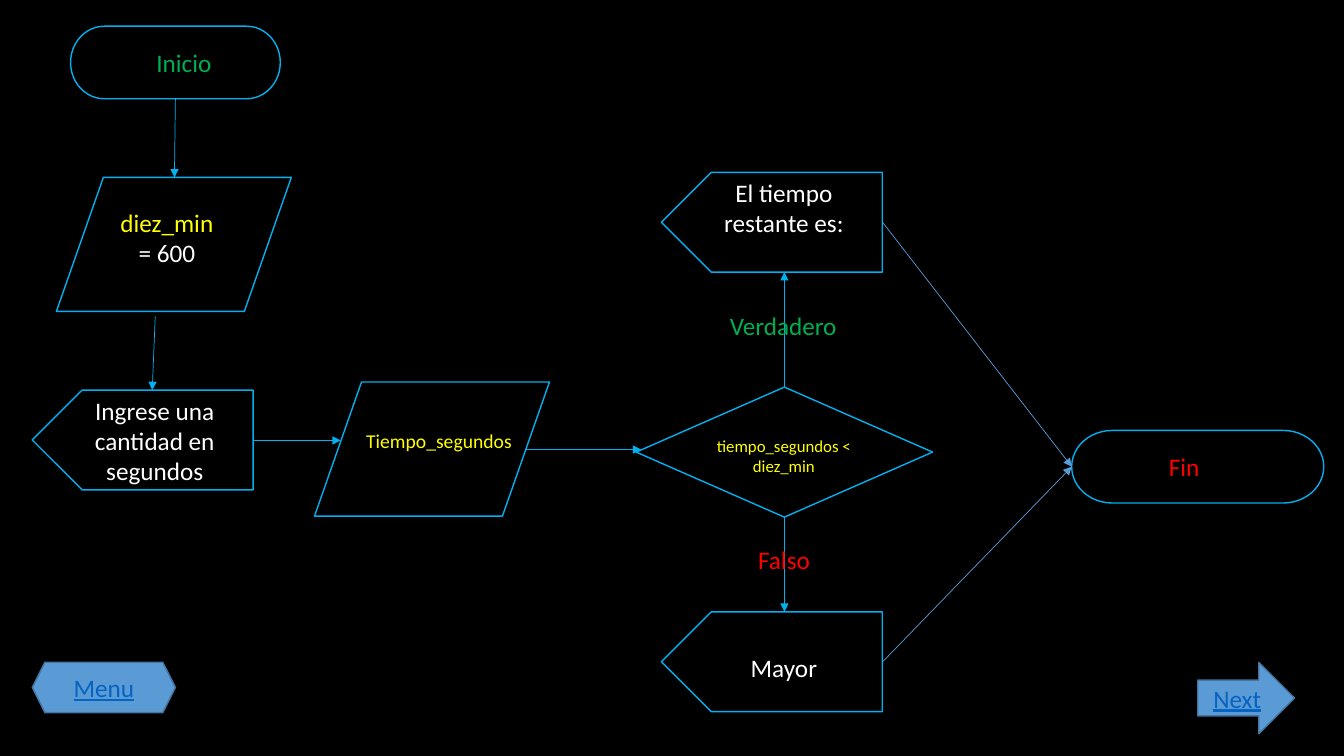
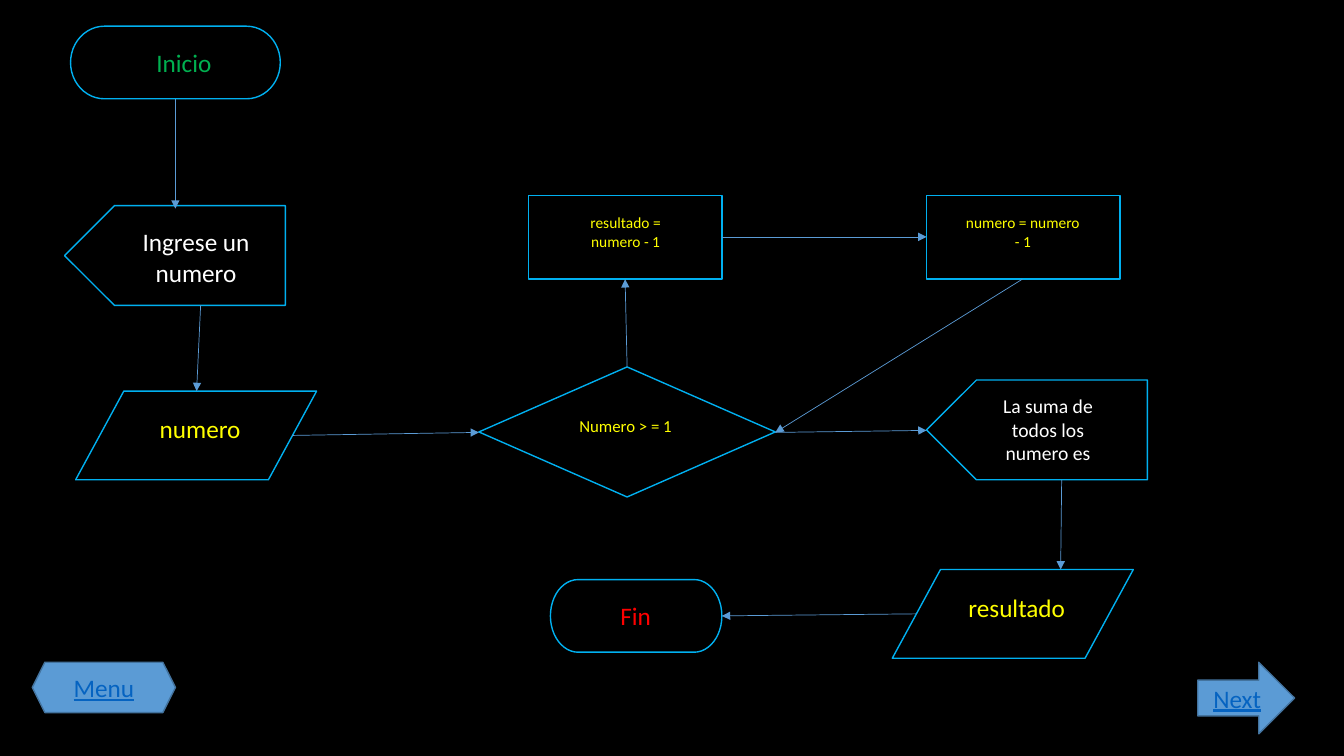
from dataclasses import dataclass

from lxml.etree import SubElement
from pptx import Presentation
from pptx.dml.color import RGBColor
from pptx.enum.shapes import MSO_CONNECTOR, MSO_SHAPE as Preset
from pptx.enum.text import MSO_ANCHOR, MSO_AUTO_SIZE, PP_ALIGN
from pptx.oxml.ns import qn
from pptx.shapes.base import BaseShape
from pptx.slide import Slide
from pptx.text.text import TextFrame
from pptx.util import Emu, Pt

EMU_PER_PX = 9144
SLIDE_SIZE = (1333, 750)
FONT = "Calibri"
COLORS = {
    "background": "000000",
    "outline": "00B0F0",
    "button": "5B9BD5",
    "button_edge": "43739E",
    "link": "0563C1",
    "start": "00B050",
    "end": "FF0000",
    "variable": "FFFF00",
    "message": "FFFFFF",
}

TERMINAL = Preset.FLOWCHART_TERMINATOR
DATA = Preset.FLOWCHART_DATA
OUTPUT = Preset.PENTAGON
DECISION = Preset.FLOWCHART_DECISION
PROCESS = Preset.RECTANGLE

OUTPUT_SIZE = (219, 99)
DECISION_SIZE = (294, 129)
PROCESS_SIZE = (192, 83)
START_SIZE = (208, 72)
LARGE_DATA_SIZE = (233, 133)
SMALL_DATA_SIZE = (239, 88)


@dataclass(frozen=True)
class Step:
    preset: Preset
    place: tuple[int, int]
    size: tuple[int, int]


@dataclass(frozen=True)
class Caption:
    text: str
    place: tuple[int, int]
    size: tuple[int, int]
    colors: tuple[str, ...]
    points: int = 18
    wrap: bool = True


@dataclass(frozen=True)
class Arrow:
    start: tuple[int, int]
    end: tuple[int, int]
    color: str = "button"


@dataclass(frozen=True)
class Button:
    preset: Preset
    text: str
    place: tuple[int, int]
    size: tuple[int, int]


@dataclass(frozen=True)
class Flowchart:
    steps: tuple[Step, ...]
    captions: tuple[Caption, ...]
    arrows: tuple[Arrow, ...]


START_STEP = Step(TERMINAL, (70, 26), START_SIZE)
START_CAPTION = Caption("Inicio", (104, 42), (157, 40), ("start",))

BUTTONS = (
    Button(Preset.RIGHT_ARROW, "Next", (1188, 657), (96, 71)),
    Button(Preset.HEXAGON, "Menu", (32, 657), (142, 50)),
)

TIME_LEFT = Flowchart(
    steps=(
        Step(TERMINAL, (1063, 427), (250, 72)),
        Step(DATA, (56, 176), LARGE_DATA_SIZE),
        Step(OUTPUT, (32, 387), OUTPUT_SIZE),
        Step(DATA, (312, 379), LARGE_DATA_SIZE),
        Step(DECISION, (631, 384), DECISION_SIZE),
        Step(OUTPUT, (656, 171), OUTPUT_SIZE),
        Step(OUTPUT, (656, 607), OUTPUT_SIZE),
    ),
    captions=(
        Caption("Fin", (1096, 443), (157, 40), ("end",)),
        Caption("diez_min\n= 600", (87, 201), (157, 71), ("variable", "message")),
        Caption("Ingrese una cantidad en segundos", (75, 387), (157, 101), ("message",)),
        Caption("Tiempo_segundos", (352, 421), (167, 34), ("variable",), 14),
        Caption("tiempo_segundos < diez_min", (699, 427), (157, 50), ("variable",), 12),
        Caption("El tiempo restante es:", (699, 171), (157, 71), ("message",)),
        Caption("Mayor", (699, 642), (157, 40), ("message",)),
        Caption("Verdadero", (714, 303), (127, 40), ("start",), wrap=False),
        Caption("Falso", (742, 535), (72, 40), ("end",), wrap=False),
    ),
    arrows=(
        Arrow((174, 98), (173, 176), "outline"),
        Arrow((154, 314), (151, 387), "outline"),
        Arrow((251, 437), (338, 437), "outline"),
        Arrow((521, 446), (636, 446), "outline"),
        Arrow((778, 513), (778, 607), "outline"),
        Arrow((778, 384), (778, 270), "outline"),
        Arrow((875, 220), (1063, 463)),
        Arrow((875, 657), (1063, 463)),
    ),
)

SUM_OF_NUMBERS = Flowchart(
    steps=(
        Step(TERMINAL, (546, 575), (170, 72)),
        Step(DATA, (75, 388), SMALL_DATA_SIZE),
        Step(OUTPUT, (64, 204), OUTPUT_SIZE),
        Step(DECISION, (475, 364), DECISION_SIZE),
        Step(OUTPUT, (919, 377), OUTPUT_SIZE),
        Step(PROCESS, (524, 194), PROCESS_SIZE),
        Step(PROCESS, (919, 194), PROCESS_SIZE),
        Step(DATA, (885, 565), SMALL_DATA_SIZE),
    ),
    captions=(
        Caption("Fin", (580, 591), (101, 40), ("end",)),
        Caption("numero", (120, 405), (157, 40), ("variable",)),
        Caption("Ingrese un numero", (116, 220), (157, 71), ("message",)),
        Caption("Numero > = 1", (542, 408), (157, 30), ("variable",), 12),
        Caption("La suma de todos los numero es", (961, 386), (157, 81), ("message",), 14),
        Caption("resultado = numero - 1", (551, 207), (139, 47), ("variable",), 11),
        Caption("numero = numero - 1", (945, 207), (139, 47), ("variable",), 11),
        Caption("resultado", (930, 583), (157, 40), ("variable",)),
    ),
    arrows=(
        Arrow((174, 98), (174, 207)),
        Arrow((199, 303), (195, 388)),
        Arrow((290, 432), (475, 429)),
        Arrow((622, 364), (620, 277)),
        Arrow((716, 235), (919, 235)),
        Arrow((1014, 277), (769, 429)),
        Arrow((769, 429), (919, 427)),
        Arrow((1053, 476), (1052, 565)),
        Arrow((909, 609), (716, 611)),
    ),
)


def px(*lengths: int) -> list[Emu]:
    return [Emu(length * EMU_PER_PX) for length in lengths]


def rgb(name: str) -> RGBColor:
    return RGBColor.from_string(COLORS[name])


def write(
    frame: TextFrame,
    text: str,
    *,
    colors: tuple[str, ...],
    points: int = 18,
    align: PP_ALIGN = PP_ALIGN.CENTER,
    underline: bool = False,
) -> None:
    for index, (line, color) in enumerate(zip(text.split("\n"), colors)):
        paragraph = frame.add_paragraph() if index else frame.paragraphs[0]
        paragraph.alignment = align
        run = paragraph.add_run()
        run.text = line
        run.font.name = FONT
        run.font.size = Pt(points)
        run.font.underline = underline
        run.font.color.rgb = rgb(color)


def outline(shape: BaseShape, color: str) -> None:
    shape.shadow.inherit = False
    shape.line.color.rgb = rgb(color)
    shape.line.width = Pt(1)


def draw_step(slide: Slide, step: Step) -> None:
    shape = slide.shapes.add_shape(step.preset, *px(*step.place, *step.size))
    outline(shape, "outline")
    shape.fill.background()
    if step.preset == OUTPUT:
        shape.rotation = 180


def draw_caption(slide: Slide, caption: Caption) -> None:
    frame = slide.shapes.add_textbox(*px(*caption.place, *caption.size)).text_frame
    frame.word_wrap = caption.wrap
    frame.auto_size = MSO_AUTO_SIZE.SHAPE_TO_FIT_TEXT
    align = PP_ALIGN.CENTER if caption.wrap else PP_ALIGN.LEFT
    write(frame, caption.text, colors=caption.colors, points=caption.points, align=align)


def draw_arrow(slide: Slide, arrow: Arrow) -> None:
    connector = slide.shapes.add_connector(
        MSO_CONNECTOR.STRAIGHT, *px(*arrow.start, *arrow.end)
    )
    connector.line.color.rgb = rgb(arrow.color)
    connector.line.width = Pt(0.5)
    SubElement(connector.line._get_or_add_ln(), qn("a:tailEnd"), type="triangle")
    SubElement(connector._element.spPr, qn("a:effectLst"))


def draw_button(slide: Slide, button: Button) -> None:
    shape = slide.shapes.add_shape(button.preset, *px(*button.place, *button.size))
    outline(shape, "button_edge")
    shape.fill.solid()
    shape.fill.fore_color.rgb = rgb("button")
    shape.text_frame.vertical_anchor = MSO_ANCHOR.MIDDLE
    write(shape.text_frame, button.text, colors=("link",), underline=True)


def draw_flowchart(slide: Slide, chart: Flowchart) -> None:
    slide.background.fill.solid()
    slide.background.fill.fore_color.rgb = rgb("background")
    for step in (START_STEP, *chart.steps):
        draw_step(slide, step)
    for arrow in chart.arrows:
        draw_arrow(slide, arrow)
    for caption in (START_CAPTION, *chart.captions):
        draw_caption(slide, caption)
    for button in BUTTONS:
        draw_button(slide, button)


def main() -> None:
    deck = Presentation()
    deck.slide_width, deck.slide_height = px(*SLIDE_SIZE)
    blank = deck.slide_layouts[6]
    for chart in (TIME_LEFT, SUM_OF_NUMBERS):
        draw_flowchart(deck.slides.add_slide(blank), chart)
    deck.save("out.pptx")


if __name__ == "__main__":
    main()
